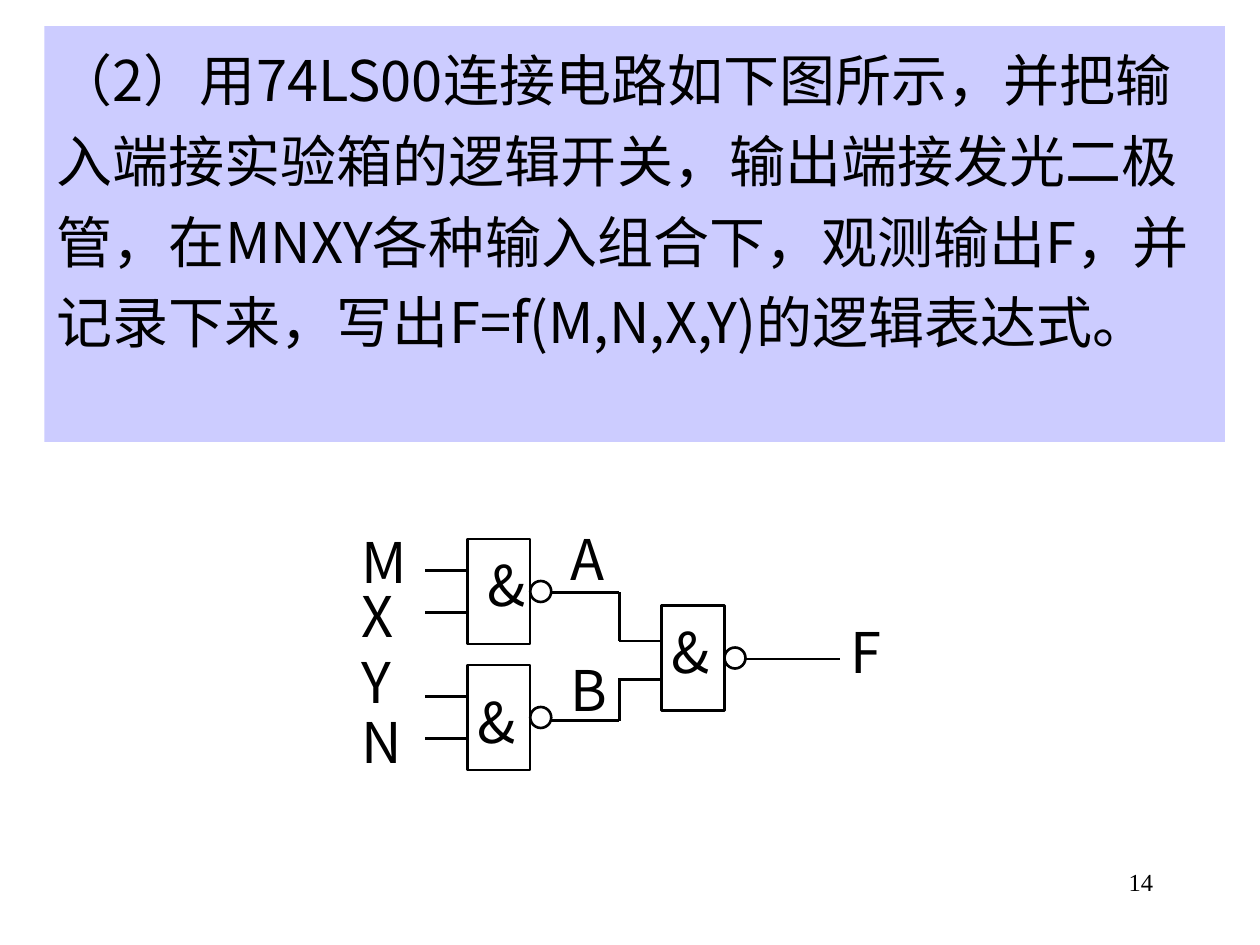
from typing import NamedTuple

from lxml import etree
from pptx import Presentation
from pptx import util as u
from pptx.dml.color import RGBColor
from pptx.enum import shapes, text
from pptx.oxml import ns

BLACK = RGBColor(0x00, 0x00, 0x00)
LAVENDER = RGBColor(0xCC, 0xCC, 0xFF)
SANS = "Noto Sans CJK SC"
SERIF = "Times New Roman"
BODY_SIZE = 32
LINE_WIDTH = 1.5

GATE_WIDTH, GATE_HEIGHT = 36, 60
BUBBLE = 12
LEAD = 24
LABEL_WIDTH, LABEL_HEIGHT = 34, 46

TASK = (
    "（2）用74LS00连接电路如下图所示，并把输入端接实验箱的逻辑开关，"
    "输出端接发光二极管，在MNXY各种输入组合下，观测输出F，"
    "并记录下来，写出F=f(M,N,X,Y)的逻辑表达式。"
)


class Gate(NamedTuple):
    left: float
    top: float
    inputs: tuple[float, float]  # lead heights below the gate's top
    sign: tuple[float, float]  # offset of the "&" box


class Label(NamedTuple):
    words: str
    left: float
    top: float


class Wire(NamedTuple):
    start: tuple[float, float]
    end: tuple[float, float]


GATES = [
    Gate(267, 308, (18, 42), (4.4, 3)),
    Gate(267, 380, (18, 42), (-1.4, 9.4)),
    Gate(378, 346, (20.4, 42.4), (-1.4, 3.2)),
]

BEND_X = 354
WIRES = [
    Wire((315, 338.4), (BEND_X, 338.4)),
    Wire((BEND_X, 338.4), (BEND_X, 366.4)),
    Wire((315, 411.8), (BEND_X, 411.8)),
    Wire((BEND_X, 411.8), (BEND_X, 387.4)),
    Wire((426, 376.6), (480, 376.6)),
]

LABELS = [
    Label("M", 199.4, 298),
    Label("X", 199.4, 329),
    Label("Y", 199.4, 366.4),
    Label("N", 199.4, 401),
    Label("F", 478.8, 349.2),
    Label("A", 319, 296),
    Label("B", 319, 370.8),
]


def add_span(para, words: str, size: float, face: str) -> None:
    span = para.add_run()
    span.text = words
    span.font.size = u.Pt(size)
    span.font.name = face
    span.font.color.rgb = BLACK
    east_asian = etree.SubElement(span.font._element, ns.qn("a:ea"))
    east_asian.set("typeface", face)


def add_outline(parent, kind, left: float, top: float, width: float, height: float) -> None:
    box = parent.add_shape(kind, u.Pt(left), u.Pt(top), u.Pt(width), u.Pt(height))
    box.shadow.inherit = False
    box.fill.background()
    box.line.color.rgb = BLACK
    box.line.width = u.Pt(LINE_WIDTH)


def add_wire(parent, wire: Wire) -> None:
    line = parent.add_connector(
        shapes.MSO_CONNECTOR.STRAIGHT, *(u.Pt(value) for value in wire.start + wire.end)
    )
    line.line.color.rgb = BLACK
    line.line.width = u.Pt(LINE_WIDTH)
    etree.SubElement(line._element.spPr, ns.qn("a:effectLst"))


def add_label(parent, label: Label) -> None:
    box = parent.add_textbox(
        u.Pt(label.left), u.Pt(label.top), u.Pt(LABEL_WIDTH), u.Pt(LABEL_HEIGHT)
    )
    box.text_frame.word_wrap = False
    box.text_frame.auto_size = text.MSO_AUTO_SIZE.SHAPE_TO_FIT_TEXT
    add_span(box.text_frame.paragraphs[0], label.words, BODY_SIZE, SANS)


def add_gate(parent, gate: Gate) -> None:
    """Draw a NAND gate: body, output bubble, two input leads and its sign."""
    right = gate.left + GATE_WIDTH
    bubble_top = gate.top + (GATE_HEIGHT - BUBBLE) / 2
    add_outline(parent, shapes.MSO_SHAPE.RECTANGLE, gate.left, gate.top, GATE_WIDTH, GATE_HEIGHT)
    add_outline(parent, shapes.MSO_SHAPE.OVAL, right, bubble_top, BUBBLE, BUBBLE)
    for drop in gate.inputs:
        height = gate.top + drop
        add_wire(parent, Wire((gate.left, height), (gate.left - LEAD, height)))
    add_label(parent, Label("&", gate.left + gate.sign[0], gate.top + gate.sign[1]))


def add_task(page) -> None:
    box = page.shapes.add_shape(
        shapes.MSO_SHAPE.RECTANGLE, u.Pt(25.4), u.Pt(15), u.Pt(674.6), u.Pt(237.6)
    )
    box.shadow.inherit = False
    box.fill.solid()
    box.fill.fore_color.rgb = LAVENDER
    box.line.fill.background()
    frame = box.text_frame
    frame.word_wrap = True
    frame.auto_size = text.MSO_AUTO_SIZE.SHAPE_TO_FIT_TEXT
    frame.vertical_anchor = text.MSO_ANCHOR.TOP
    para = frame.paragraphs[0]
    para.alignment = text.PP_ALIGN.LEFT
    para.line_spacing = 1.2
    add_span(para, TASK, BODY_SIZE, SANS)


def add_page_number(page) -> None:
    box = page.shapes.add_textbox(u.Pt(516), u.Pt(492), u.Pt(150), u.Pt(36))
    box.text_frame.word_wrap = True
    para = box.text_frame.paragraphs[0]
    para.alignment = text.PP_ALIGN.RIGHT
    add_span(para, "14", 14, SERIF)


def main() -> None:
    deck = Presentation()
    deck.slide_width, deck.slide_height = u.Pt(720), u.Pt(540)
    page = deck.slides.add_slide(deck.slide_layouts[6])
    add_page_number(page)
    add_task(page)
    circuit = page.shapes.add_group_shape().shapes
    for gate in GATES:
        add_gate(circuit, gate)
    for wire in WIRES:
        add_wire(circuit, wire)
    for label in LABELS:
        add_label(circuit, label)
    deck.save("out.pptx")


if __name__ == "__main__":
    main()
